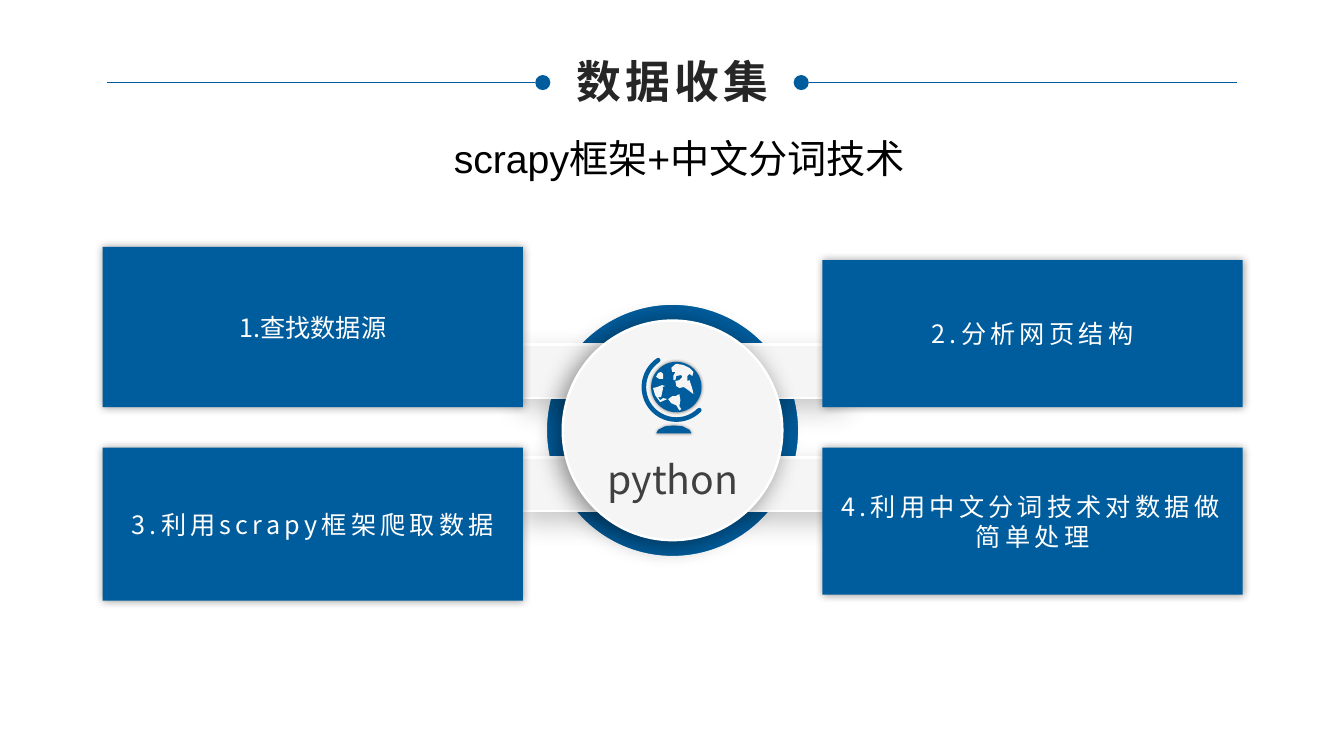
from lxml.etree import SubElement
from pptx import Presentation
from pptx.dml.color import RGBColor
from pptx.enum.shapes import MSO_CONNECTOR as Connector, MSO_SHAPE as Shape
from pptx.enum.text import MSO_ANCHOR as Anchor, PP_ALIGN as Align
from pptx.oxml.ns import qn
from pptx.util import Pt

WIDTH, HEIGHT = 960, 540
BLUE, PALE, WHITE = "005D9D", "F5F5F5", "FFFFFF"
CJK = "Noto Sans CJK SC"

TITLE = "数据收集"
SUBTITLE = "scrapy框架+中文分词技术"
HUB_LABEL = "python"
CARD_LEFTS, CARD_WIDTH = (73.4, 587.5), 300.2
CARDS = [
    ("1.查找数据源", 0, 176.4, 114.5, 0),
    ("2.分析网页结构", 1, 185.8, 105.1, 3),
    ("3.利用scrapy框架爬取数据", 0, 319.7, 109.4, 3),
    ("4.利用中文分词技术对数据做简单处理", 1, 319.7, 105.1, 3),
]
BAR_LEFTS, BAR_TOPS, BAR_SIZE = (365.8, 521.3), (246.2, 326.9), (74.9, 38.2)
RULE_Y, RULE_OUTER, RULE_INNER, DOT = 59, 76.3, 382.3, 10.8
HUB, RING_RADIUS, DISK_RADIUS = (480.4, 307.4), 90.7, 78.4
GLOBE, GLOBE_RADIUS, STAND_RADIUS = (483.1, 276.5), 18, 23.2
STAND_ANGLES = (45, 236)
FOOT = [(-14.4, 33.1), (-13, 30.5), (-8, 28), (-1.8, 27.4), (4.4, 28),
        (9.4, 30.5), (10.8, 33.1)]
LANDS = [
    [(-2.9, -10.8), (-3.6, -13.7), (-1.4, -15.8), (0, -16.6), (5, -15.8),
     (9.4, -13.7), (12.2, -10.8), (11.5, -7.9), (9.4, -9.4), (7.9, -7.9),
     (7.9, -4.3), (9.4, -5), (11.5, 1.4), (12.2, 5), (6.5, 0.7), (5, 0),
     (2.2, 0.7), (0, -0.7), (-0.7, -4.3), (2.2, -5), (4.3, -7.2),
     (3.6, -8.6), (0, -7.9), (-0.7, -5), (-2.2, -5), (-2.2, -7.9),
     (-0.7, -10.8)],
    [(-5.8, 8.6), (-3.6, 11.5), (0, 13), (2.2, 16.6), (3.6, 15.8),
     (2.2, 13.7), (2.9, 9.4), (2.2, 5), (-0.7, 6.5), (-2.9, 6.5)],
    [(-10.1, 0), (-7.9, -0.7), (-10.1, -1.4), (-13.7, 0), (-16.6, 0.7),
     (-15.1, 5.8), (-11.5, 10.8), (-6.5, 8.6), (-9.4, 7.9), (-11.5, 9.4),
     (-13, 7.2), (-10.8, 7.2), (-9.4, 0.7)],
    [(-13, -10.1), (-14.4, -7.2), (-12.2, -5.8), (-9.4, -5.8),
     (-9.4, -9.4), (-10.8, -10.8)],
]

deck = Presentation()
deck.slide_width, deck.slide_height = Pt(WIDTH), Pt(HEIGHT)
page = deck.slides.add_slide(deck.slide_layouts[6])


def color(value):
    return RGBColor.from_string(value)


def style(shape, fill=None, line=None, weight=1.75, shadow=None):
    if fill:
        shape.fill.solid()
        shape.fill.fore_color.rgb = color(fill)
    else:
        shape.fill.background()
    if line:
        shape.line.color.rgb = color(line)
        shape.line.width = Pt(weight)
    else:
        shape.line.fill.background()
    shape.shadow.inherit = False
    if shadow:
        alpha, blur, distance, angle = shadow
        effects = shape._element.spPr.find(qn("a:effectLst"))
        outer = SubElement(effects, qn("a:outerShdw"), blurRad=str(Pt(blur)),
                           dist=str(Pt(distance)), dir=str(angle * 60000),
                           algn="ctr", rotWithShape="0")
        tint = SubElement(outer, qn("a:srgbClr"), val="000000")
        SubElement(tint, qn("a:alpha"), val=str(alpha * 1000))
    return shape


def preset(kind, left, top, width, height, **look):
    shape = page.shapes.add_shape(kind, Pt(left), Pt(top), Pt(width), Pt(height))
    return style(shape, **look)


def circle(center, radius, kind=Shape.OVAL, **look):
    x, y = center
    return preset(kind, x - radius, y - radius, 2 * radius, 2 * radius, **look)


def outline(center, points, **look):
    spots = [((center[0] + x) * 10, (center[1] + y) * 10) for x, y in points]
    builder = page.shapes.build_freeform(*spots[0], scale=Pt(0.1))
    builder.add_line_segments(spots[1:], close=True)
    return style(builder.convert_to_shape(), **look)


def write(box, text, size=18, font=CJK, ink=WHITE, bold=False, spacing=0,
          wrap=True, anchor=Anchor.TOP):
    frame = box.text_frame
    frame.word_wrap = wrap
    frame.vertical_anchor = anchor
    para = frame.paragraphs[0]
    para.alignment = Align.CENTER
    span = para.add_run()
    span.text = text
    span.font.size = Pt(size)
    span.font.name = font
    span.font.bold = bold
    span.font.color.rgb = color(ink)
    traits = span._r.get_or_add_rPr()
    SubElement(traits, qn("a:ea"), typeface=CJK)
    if spacing:
        traits.set("spc", str(spacing * 100))


def label(text, left, top, width, height, **form):
    box = page.shapes.add_textbox(Pt(left), Pt(top), Pt(width), Pt(height))
    write(box, text, **form)


for mirrored in (False, True):
    outer, inner = [WIDTH - x if mirrored else x for x in (RULE_OUTER, RULE_INNER)]
    rule = page.shapes.add_connector(Connector.STRAIGHT, Pt(outer), Pt(RULE_Y),
                                     Pt(inner), Pt(RULE_Y))
    rule.line.color.rgb = color(BLUE)
    rule.line.width = Pt(0.25)
    SubElement(rule._element.spPr, qn("a:effectLst"))
    middle = inner + (-DOT if mirrored else DOT) / 2
    circle((middle, RULE_Y), DOT / 2, fill=BLUE)

label(TITLE, 402.5, 34.6, 156.2, 46, size=32, font="Arial", ink="262626",
      bold=True, spacing=3, wrap=False)

circle(HUB, RING_RADIUS, fill=BLUE, line=WHITE, weight=2)
for left in BAR_LEFTS:
    for top in BAR_TOPS:
        preset(Shape.RECTANGLE, left, top, *BAR_SIZE, fill=PALE, line=WHITE,
               shadow=(21, 20, 10, 45))
circle(HUB, DISK_RADIUS, fill=PALE, line=WHITE, shadow=(45, 18, 4, 150))

for text, column, top, height, spacing in CARDS:
    card = preset(Shape.RECTANGLE, CARD_LEFTS[column], top, CARD_WIDTH, height,
                  fill=BLUE, shadow=(40, 6, 0, 90))
    write(card, text, spacing=spacing, anchor=Anchor.MIDDLE)

label(HUB_LABEL, 410.4, 321.8, 140.4, 41, size=28, ink="404040")

circle(GLOBE, GLOBE_RADIUS, fill=BLUE, shadow=(40, 2, 0, 0))
for land in LANDS:
    outline(GLOBE, land, fill=PALE)
stand = circle(GLOBE, STAND_RADIUS, kind=Shape.ARC, line=BLUE, weight=3.3)
for index, angle in enumerate(STAND_ANGLES):
    stand.adjustments[index] = angle * 0.6
stand.line._get_or_add_ln().set("cap", "rnd")
outline(GLOBE, FOOT, fill=BLUE, shadow=(40, 2, 0, 0))

label(SUBTITLE, 63.4, 92.2, 843.8, 41, size=28, font="Arial", ink="000000")

deck.save("out.pptx")
